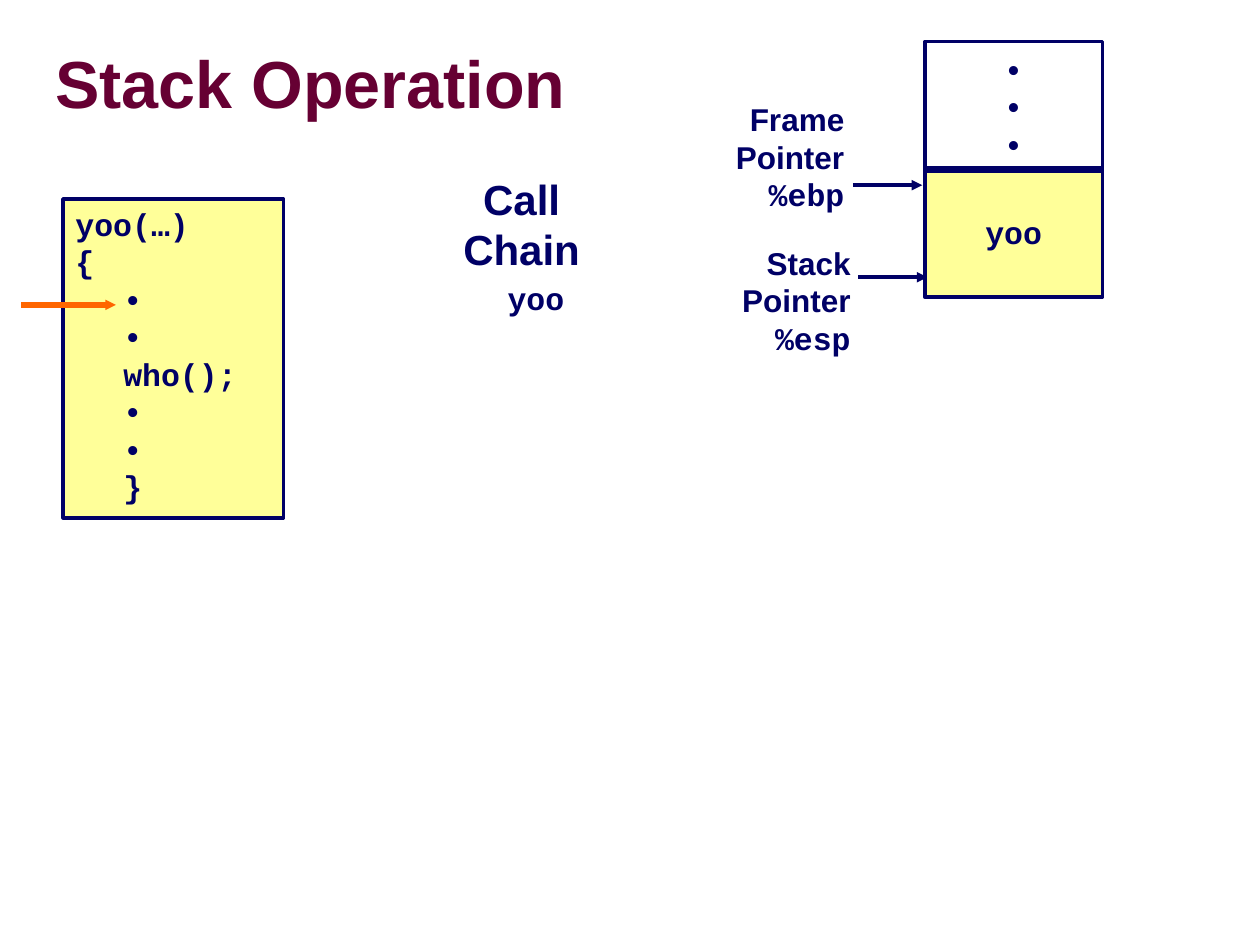
from dataclasses import dataclass

from lxml import etree
from pptx import Presentation
from pptx.dml.color import RGBColor
from pptx.enum import shapes, text
from pptx.oxml import ns
from pptx.util import Inches, Pt

NAVY, MAROON, ORANGE, YELLOW = "000066", "660033", "FF6600", "FFFF99"
SANS, MONO = "Arial", "Courier New"
LINE_HEIGHT = 1.19
ALIGN = text.PP_ALIGN
ANCHOR = text.MSO_ANCHOR


@dataclass
class Line:
    words: str
    font: str = MONO
    indent: float = 0


@dataclass
class Box:
    left: float
    top: float
    width: float
    height: float


@dataclass
class Pointer:
    label: str
    register: str
    box: Box
    arrow_y: float
    arrow_start: float


def rgb(color: str) -> RGBColor:
    return RGBColor.from_string(color)


def write(frame, lines: list[Line], *, size=18, color=NAVY, align=ALIGN.LEFT,
          anchor=ANCHOR.TOP, wrap=True, spacing=None, margins=(0.1, 0.05)) -> None:
    frame.word_wrap = wrap
    frame.vertical_anchor = anchor
    frame.auto_size = text.MSO_AUTO_SIZE.NONE
    frame.margin_left = frame.margin_right = Inches(margins[0])
    frame.margin_top = frame.margin_bottom = Inches(margins[1])
    for index, line in enumerate(lines):
        paragraph = frame.add_paragraph() if index else frame.paragraphs[0]
        paragraph.alignment = align
        paragraph.line_spacing = spacing or Pt(round(size * LINE_HEIGHT, 1))
        if line.indent:
            paragraph.level = 1
            paragraph._p.get_or_add_pPr().set("marL", str(Inches(line.indent)))
        run = paragraph.add_run()
        run.text = line.words
        run.font.name = line.font
        run.font.size = Pt(size)
        run.font.bold = True
        run.font.color.rgb = rgb(color)


def place(box: Box) -> list[int]:
    return [Inches(v) for v in (box.left, box.top, box.width, box.height)]


def add_text(slide, box: Box, lines: list[Line], **style) -> None:
    write(slide.shapes.add_textbox(*place(box)).text_frame, lines, **style)


def add_box(slide, box: Box, lines: list[Line], fill: str | None = None, **style) -> None:
    shape = slide.shapes.add_shape(shapes.MSO_SHAPE.RECTANGLE, *place(box))
    shape.shadow.inherit = False
    if fill:
        shape.fill.solid()
        shape.fill.fore_color.rgb = rgb(fill)
    else:
        shape.fill.background()
    shape.line.color.rgb = rgb(NAVY)
    shape.line.width = Pt(2)
    write(shape.text_frame, lines, **style)


def add_arrow(slide, start: float, end: float, y: float,
              color=NAVY, width=2, head="med") -> None:
    arrow = slide.shapes.add_connector(
        shapes.MSO_CONNECTOR.STRAIGHT, Inches(start), Inches(y), Inches(end), Inches(y))
    arrow.line.color.rgb = rgb(color)
    arrow.line.width = Pt(width)
    etree.SubElement(arrow.line._get_or_add_ln(), ns.qn("a:tailEnd"),
                     type="triangle", w=head, len=head)
    etree.SubElement(arrow._element.spPr, ns.qn("a:effectLst"))


def add_title(slide, words: str) -> None:
    title = slide.shapes.title
    title.left, title.top, title.width, title.height = place(Box(0.44, 0.27, 9.53, 0.85))
    write(title.text_frame, [Line(words, SANS)], size=38, color=MAROON,
          anchor=ANCHOR.MIDDLE, spacing=0.87, margins=(0, 0))
    properties = title.text_frame.paragraphs[0].runs[0].font._element
    effects = etree.Element(ns.qn("a:effectLst"))
    shadow = etree.SubElement(effects, ns.qn("a:outerShdw"),
                              dist=str(Pt(4)), dir="2700000", algn="tl")
    etree.SubElement(shadow, ns.qn("a:srgbClr"), val="969696")
    properties.find(ns.qn("a:solidFill")).addnext(effects)


def add_pointer(slide, pointer: Pointer) -> None:
    add_arrow(slide, pointer.arrow_start, pointer.arrow_start + 0.55, pointer.arrow_y)
    add_text(slide, pointer.box,
             [Line(pointer.label, SANS), Line("Pointer", SANS), Line(pointer.register)],
             align=ALIGN.RIGHT, wrap=False)


def main() -> None:
    deck = Presentation()
    deck.slide_width, deck.slide_height = Inches(10), Inches(7.5)
    slide = deck.slides.add_slide(deck.slide_layouts[5])
    add_title(slide, "Stack Operation")

    add_pointer(slide, Pointer("Stack", "%esp", Box(5.79, 1.89, 1.06, 1), 2.2, 6.81))
    centred = {"align": ALIGN.CENTER, "anchor": ANCHOR.MIDDLE}
    add_box(slide, Box(7.34, 1.33, 1.41, 1.03), [Line("yoo")], YELLOW, **centred)
    add_box(slide, Box(7.34, 0.33, 1.41, 1.03), [Line("•")] * 3, **centred)
    add_pointer(slide, Pointer("Frame", "%ebp", Box(5.74, 0.75, 1.06, 1), 1.47, 6.77))

    add_text(slide, Box(3.54, 1.33, 1.2, 0.9), [Line("Call Chain", SANS)],
             size=24, align=ALIGN.CENTER)
    add_text(slide, Box(3.93, 2.17, 0.66, 0.4), [Line("yoo")])

    body = [Line(words, indent=0.38) for words in ("•", "•", "who();", "•", "•", "}")]
    add_box(slide, Box(0.5, 1.58, 1.75, 2.53), [Line("yoo(…)"), Line("{"), *body], YELLOW)
    add_arrow(slide, 0.17, 0.92, 2.42, ORANGE, 3, "sm")

    deck.save("out.pptx")


if __name__ == "__main__":
    main()
